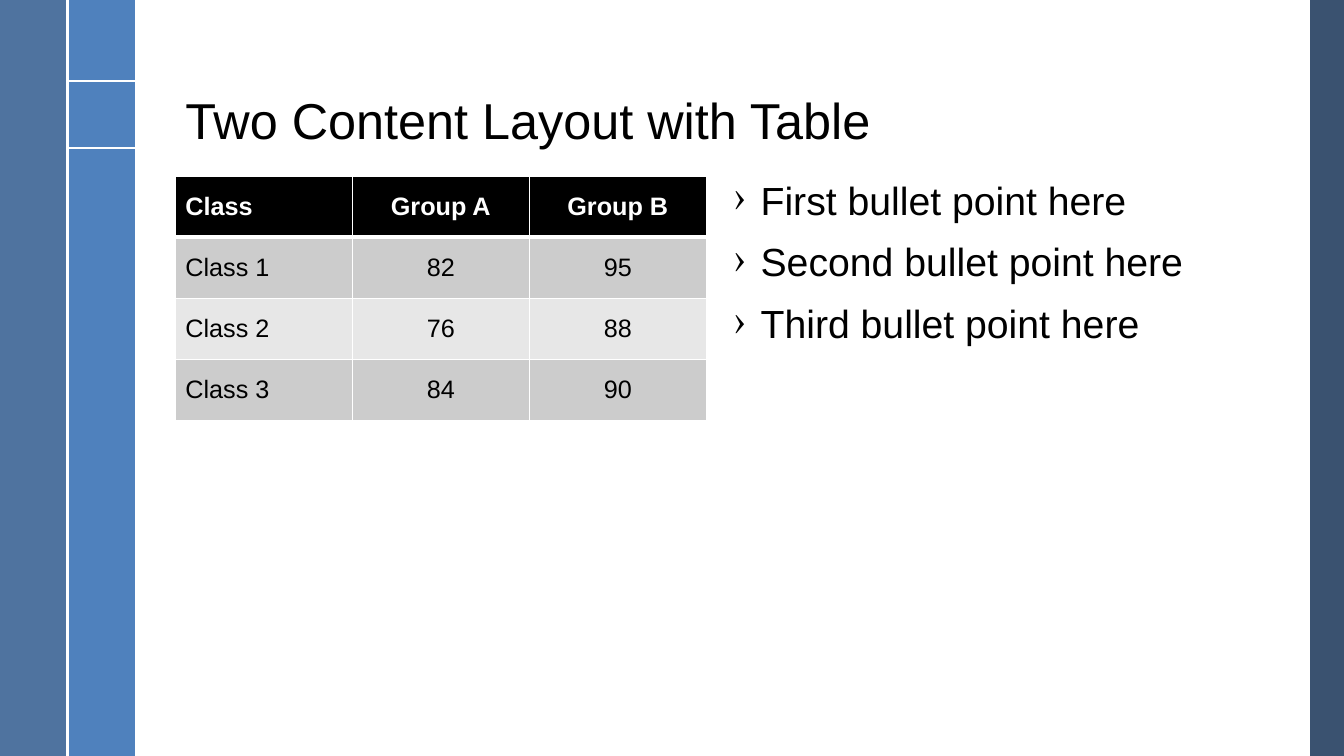
from lxml import etree
from pptx import Presentation
from pptx.dml.color import RGBColor
from pptx.enum.shapes import MSO_CONNECTOR, MSO_SHAPE
from pptx.enum.text import MSO_ANCHOR, MSO_AUTO_SIZE, PP_ALIGN
from pptx.oxml.ns import qn
from pptx.util import Cm, Pt

RECT, LINE = MSO_SHAPE.RECTANGLE, MSO_CONNECTOR.STRAIGHT
LEFT, CENTER = PP_ALIGN.LEFT, PP_ALIGN.CENTER
MIDDLE, BOTTOM = MSO_ANCHOR.MIDDLE, MSO_ANCHOR.BOTTOM
NO_FIT = MSO_AUTO_SIZE.NONE

BLACK = RGBColor(0x00, 0x00, 0x00)
WHITE = RGBColor(0xFF, 0xFF, 0xFF)
NAVY = RGBColor(0x25, 0x40, 0x61)
BLUE = RGBColor(0x4F, 0x81, 0xBD)
STEEL = RGBColor(0x37, 0x60, 0x92)
GRAY = RGBColor(0xCC, 0xCC, 0xCC)
PALE = RGBColor(0xE7, 0xE7, 0xE7)

WIDE, HIGH, BAR = 33.87, 19.05, 1.7
EDGE, TOP, HALF = 4.42, 4.44, 13.38


def style(para, size, color=BLACK, bold=False, align=LEFT):
    para.alignment = align
    looks = {"name": "Arial", "size": Pt(size), "bold": bold}
    for key, value in looks.items():
        setattr(para.font, key, value)
    para.font.color.rgb = color


def border(cell, sides):
    props = cell._tc.get_or_add_tcPr()
    for spot, (side, width) in enumerate(sides.items()):
        line = etree.Element(qn("a:ln" + side), w=str(Pt(width)))
        fill = etree.SubElement(line, qn("a:solidFill"))
        etree.SubElement(fill, qn("a:srgbClr"), val=str(WHITE))
        props.insert(spot, line)


deck = Presentation()
deck.slide_width, deck.slide_height = Cm(WIDE), Cm(HIGH)
slide = deck.slides.add_slide(deck.slide_layouts[5])
shapes = slide.shapes

# Side bars: left, width, colour, opacity in percent
for left, width, color, alpha in [
    (33.02, WIDE - 33.02, NAVY, 90),
    (BAR, BAR, BLUE, 100),
    (0, BAR, STEEL, 88),
]:
    bar = shapes.add_shape(RECT, Cm(left), 0, Cm(width), Cm(HIGH))
    bar.shadow.inherit = False
    bar.line.fill.background()
    bar.fill.solid()
    bar.fill.fore_color.rgb = color
    if alpha < 100:
        tint = bar._element.spPr.find(".//" + qn("a:srgbClr"))
        etree.SubElement(tint, qn("a:alpha"), val=str(alpha * 1000))

# White rules on the bars
for x1, y1, x2, y2 in [
    (BAR, 2.05, 2 * BAR, 2.05),
    (BAR, 3.73, 2 * BAR, 3.73),
    (BAR, 0, BAR, HIGH),
]:
    rule = shapes.add_connector(LINE, Cm(x1), Cm(y1), Cm(x2), Cm(y2))
    rule.line.color.rgb = WHITE
    rule.line.width = Pt(1.5)
    etree.SubElement(rule._element.spPr, qn("a:effectLst"))

# Title
title = shapes.title
title.left, title.top = Cm(EDGE), Cm(0.48)
title.width, title.height = Cm(27.18), Cm(3.45)
frame = title.text_frame
frame.text = "Two Content Layout with Table"
frame.auto_size = NO_FIT
frame.vertical_anchor = BOTTOM
frame.paragraphs[0].line_spacing = 0.9
style(frame.paragraphs[0], 36)

# Score table
rows = [
    ("Class", "Group A", "Group B"),
    ("Class 1", "82", "95"),
    ("Class 2", "76", "88"),
    ("Class 3", "84", "90"),
]
table = shapes.add_table(
    len(rows), 3, Cm(EDGE), Cm(TOP), Cm(HALF), Cm(1.54 * len(rows))
).table
for r, row in enumerate(rows):
    head = r == 0
    for c, text in enumerate(row):
        cell = table.cell(r, c)
        cell.text = text
        cell.vertical_anchor = MIDDLE
        cell.fill.solid()
        cell.fill.fore_color.rgb = BLACK if head else GRAY if r % 2 else PALE
        style(cell.text_frame.paragraphs[0], 18, WHITE if head else BLACK,
              head, CENTER if c else LEFT)
        border(cell, {"L": 1, "R": 1, "T": 3 if r == 1 else 1,
                      "B": 3 if head else 1})

# Bullet list
box = shapes.add_textbox(Cm(18.23), Cm(TOP), Cm(HALF), Cm(12.7))
frame = box.text_frame
frame.word_wrap = True
frame.auto_size = NO_FIT
frame.text = "\n".join(
    f"{rank} bullet point here" for rank in ("First", "Second", "Third"))
for para in frame.paragraphs:
    style(para, 28)
    para.line_spacing = 0.9
    para.space_before = Pt(14)
    props = para._p.get_or_add_pPr()
    props.set("marL", str(Cm(0.69)))
    props.set("indent", str(-Cm(0.69)))
    mark = etree.Element(qn("a:buChar"), char="›")
    props.find(qn("a:defRPr")).addprevious(mark)

deck.save("out.pptx")
